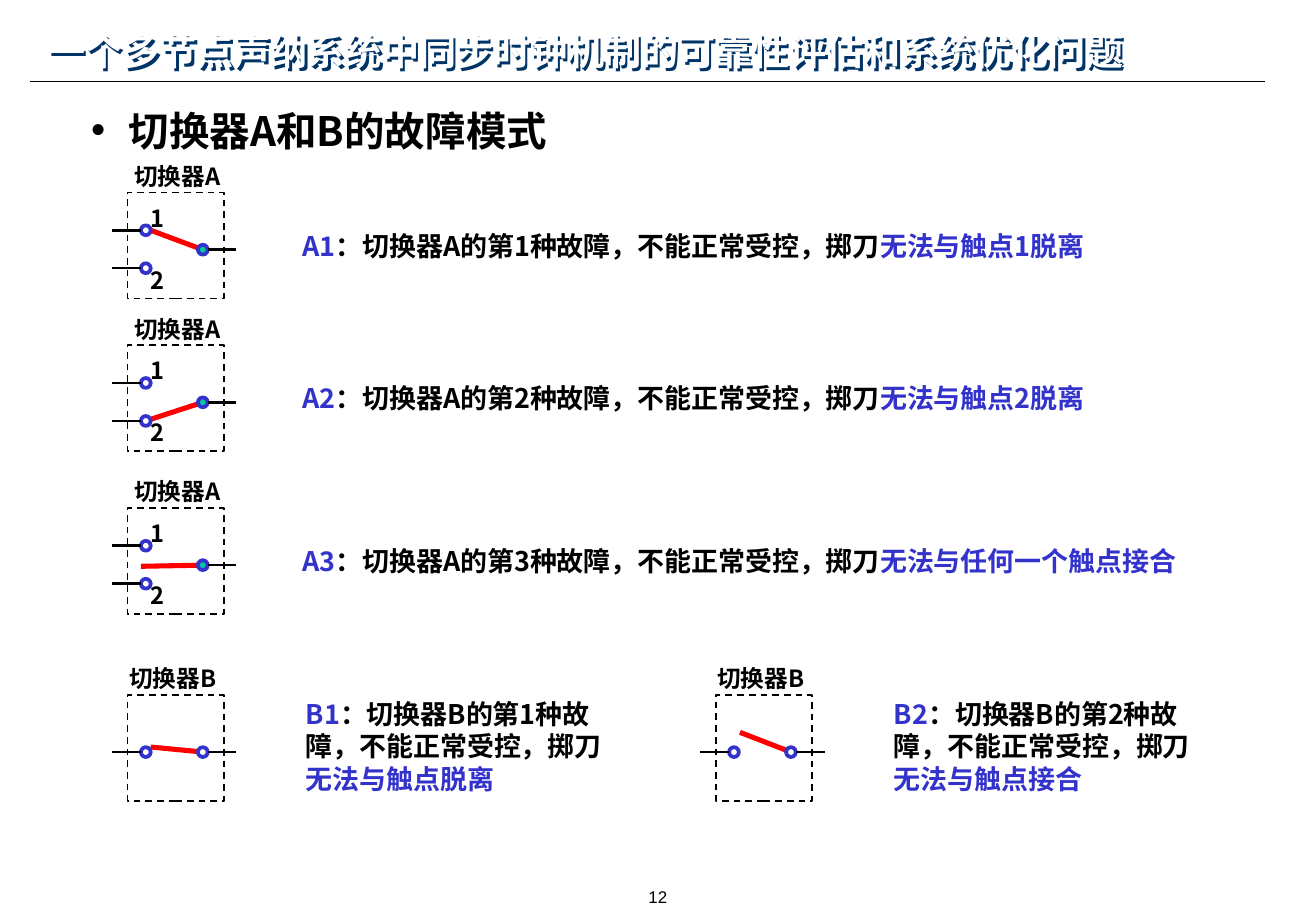
from lxml import etree
from pptx import Presentation
from pptx.dml.color import RGBColor
from pptx.enum import dml, shapes, text
from pptx.oxml import ns
from pptx.util import Pt

BLACK = RGBColor(0x00, 0x00, 0x00)
WHITE = RGBColor(0xFF, 0xFF, 0xFF)
BLUE = RGBColor(0x33, 0x33, 0xCC)
GREEN = RGBColor(0x00, 0xCC, 0x99)
RED = RGBColor(0xFF, 0x00, 0x00)
NAVY = RGBColor(0x00, 0x33, 0x66)
CJK = "Noto Sans CJK SC"

CONTACT_X, PIVOT_X, PIVOT_Y = 10.8, 44.6, 34
BOX_W, BOX_H, RADIUS, LEAD = 57, 63, 2.9, 17

SWITCHES = [
    ("A", 75.6, 114, (13.7, 22.5), 487.4, "1", "无法与触点1脱离"),
    ("A", 75.6, 204.5, (10.8, 45), 487.4, "2", "无法与触点2脱离"),
    ("A", 75.6, 301, (7.9, 34.7), 561.6, "3", "无法与任何一个触点接合"),
    ("B", 75.6, 411.8, (13.7, 31), 195.8, "1", "无法与触点脱离"),
    ("B", 424.2, 411.8, (14.4, 22.3), 195.8, "2", "无法与触点接合"),
]


def place(sp, x, y, w, h):
    sp.left, sp.top, sp.width, sp.height = Pt(x), Pt(y), Pt(w), Pt(h)


def style(p, size, name=CJK, color=BLACK, bold=True):
    p.font.size, p.font.bold, p.font.name = Pt(size), bold, name
    p.font.color.rgb = color
    if name == CJK:
        rpr = p._p.pPr.find(ns.qn("a:defRPr"))
        etree.SubElement(rpr, ns.qn("a:ea"), typeface=name)
        p.line_spacing = Pt(1.2 * size)
        p.space_before = Pt(0)


def add_text(parent, box, parts, size, inset=(0, 0), align=text.PP_ALIGN.CENTER, **look):
    sp = parent.add_textbox(*map(Pt, box))
    tf = sp.text_frame
    tf.word_wrap = True
    tf.margin_left = tf.margin_right = Pt(inset[0])
    tf.margin_top = Pt(inset[1] + 0.06 * size)
    tf.margin_bottom = Pt(inset[1])
    p = tf.paragraphs[0]
    p.alignment = align
    style(p, size, **look)
    for words, color in parts:
        r = p.add_run()
        r.text = words
        if color is not None:
            r.font.color.rgb = color


def add_line(parent, start, end, color, width):
    cx = parent.add_connector(shapes.MSO_CONNECTOR.STRAIGHT, *map(Pt, (*start, *end)))
    cx.line.color.rgb, cx.line.width = color, Pt(width)
    etree.SubElement(cx._element.spPr, ns.qn("a:effectLst"))


def add_contact(parent, x, y, fill):
    sp = parent.add_shape(shapes.MSO_SHAPE.OVAL, Pt(x - RADIUS), Pt(y - RADIUS),
                          Pt(2 * RADIUS), Pt(2 * RADIUS))
    sp.shadow.inherit = False
    sp.fill.solid()
    sp.fill.fore_color.rgb = fill
    sp.line.color.rgb, sp.line.width = BLUE, Pt(2.25)


def add_switch(slide, kind, x, y, blade, text_w, number, fault):
    is_a = kind == "A"
    parent = slide.shapes.add_group_shape().shapes
    pivot = (x + PIVOT_X, y + PIVOT_Y)
    add_line(parent, (x + blade[0], y + blade[1]), pivot, RED, 3)
    add_contact(parent, *pivot, GREEN if is_a else WHITE)
    edge = pivot[0] + RADIUS
    add_line(parent, (edge, pivot[1]), (edge + LEAD, pivot[1]), BLACK, 1.5)

    edge = x + CONTACT_X - RADIUS
    for contact_y in (22.5, 45) if is_a else (PIVOT_Y,):
        cy = y + contact_y
        add_contact(parent, x + CONTACT_X, cy, WHITE)
        add_line(parent, (edge - LEAD, cy), (edge, cy), BLACK, 1.5)
    if is_a:
        for digit, top in (("1", 5.8), ("2", 42.5)):
            add_text(parent, (x - 6.5, y + top, 48, 17), [(digit, None)], 14)

    frame = parent.add_shape(shapes.MSO_SHAPE.RECTANGLE, Pt(x), Pt(y), Pt(BOX_W), Pt(BOX_H))
    frame.shadow.inherit = False
    frame.fill.background()
    frame.line.color.rgb, frame.line.width = BLACK, Pt(1)
    frame.line.dash_style = dml.MSO_LINE.DASH

    label_x = x - (17.3 if is_a else 20)
    add_text(parent, (label_x, y - 22.6, 93.6, 24), [("切换器" + kind, None)], 14, (0, 3.6))
    text_x, text_y, text_h = (96.5, 17.3, 26.6) if is_a else (98.6, -2.9, 64.8)
    parts = [(kind + number, BLUE),
             (f"：切换器{kind}的第{number}种故障，不能正常受控，掷刀", BLACK),
             (fault, BLUE)]
    add_text(parent, (x + text_x, y + text_y, text_w, text_h), parts, 16, (7.2, 3.6),
             text.PP_ALIGN.LEFT)


def add_title(slide, x, y, w, h):
    sp = slide.shapes.title
    place(sp, x, y, w, h)
    tf = sp.text_frame
    tf.text = "一个多节点声纳系统中同步时钟机制的可靠性评估和系统优化问题"
    tf.auto_size = text.MSO_AUTO_SIZE.NONE
    tf.vertical_anchor = text.MSO_ANCHOR.MIDDLE
    p = tf.paragraphs[0]
    p.alignment = text.PP_ALIGN.LEFT
    style(p, 22, "Arial", WHITE)
    effects = etree.SubElement(sp._element.spPr, ns.qn("a:effectLst"))
    shadow = etree.SubElement(effects, ns.qn("a:outerShdw"), dist="25400", dir="2700000")
    etree.SubElement(shadow, ns.qn("a:srgbClr"), val=str(NAVY))
    add_line(slide.shapes, (18, y + h), (750, y + h), BLACK, 0.75)


def add_heading(slide, x, y, w, h):
    sp = slide.placeholders[1]
    place(sp, x, y, w, h)
    tf = sp.text_frame
    tf.text = " 切换器A和B的故障模式"
    tf.auto_size = text.MSO_AUTO_SIZE.NONE
    tf.margin_top = Pt(5)
    p = tf.paragraphs[0]
    style(p, 24)
    ppr = p._p.get_or_add_pPr()
    ppr.set("marL", str(Pt(17)))
    ppr.set("indent", str(-Pt(17)))


def main():
    prs = Presentation()
    prs.slide_width, prs.slide_height = Pt(780), Pt(540)
    slide = prs.slides.add_slide(prs.slide_layouts[1])
    add_title(slide, 21.6, 12.2, 765, 36)
    add_heading(slide, 46.8, 57.6, 607, 36)
    for switch in SWITCHES:
        add_switch(slide, *switch)
    add_text(slide.shapes, (266.4, 522, 247, 18), [("12", None)], 10, (5, 2.9),
             name="Arial", bold=False)
    prs.save("out.pptx")


if __name__ == "__main__":
    main()
